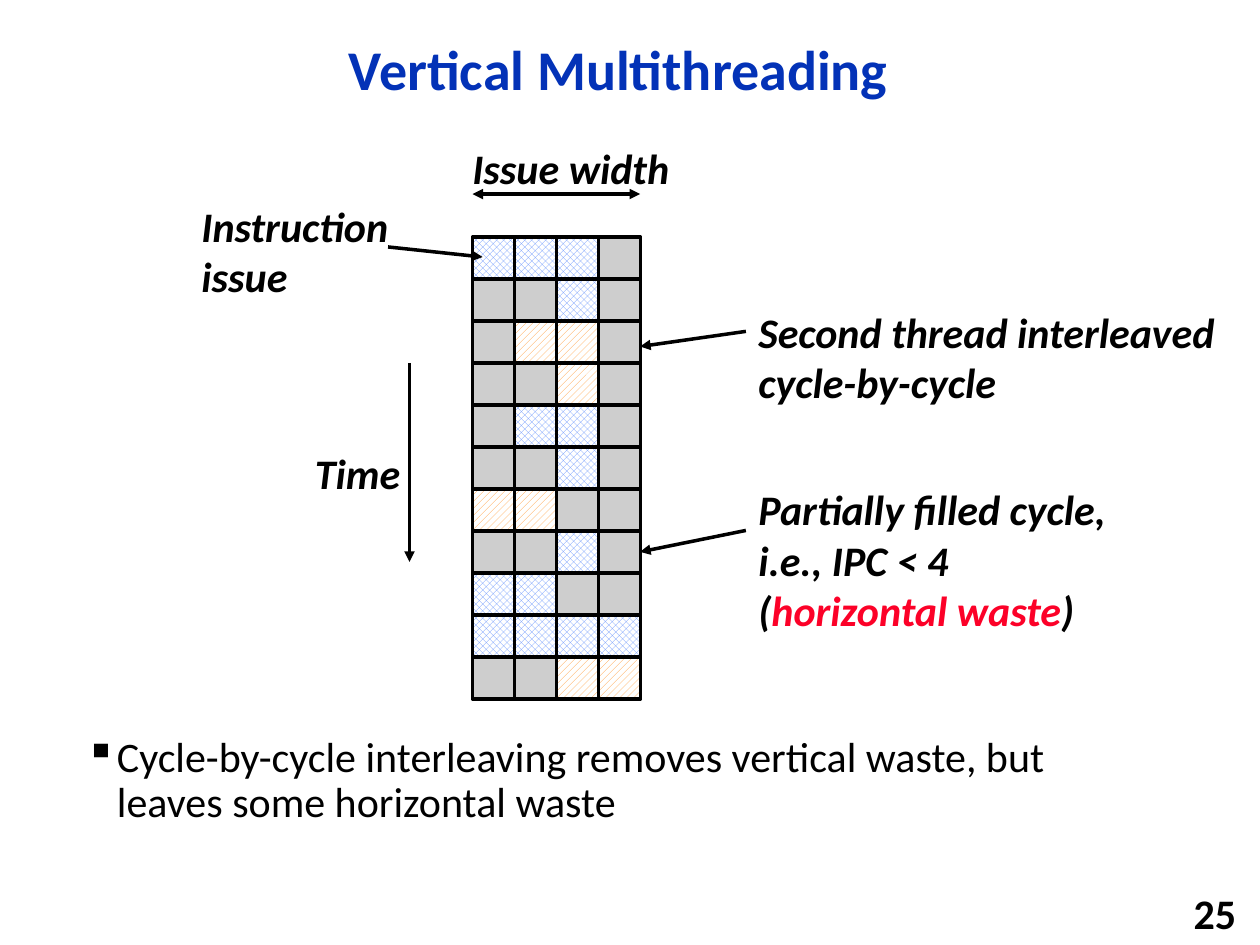
"""Builds the Vertical Multithreading slide with its issue-slot grid."""
from dataclasses import dataclass, field
from typing import Any

from lxml.etree import SubElement
from pptx import Presentation
from pptx.dml.color import RGBColor
from pptx.enum.dml import MSO_PATTERN
from pptx.enum.shapes import MSO_CONNECTOR, MSO_SHAPE
from pptx.enum.text import MSO_ANCHOR, MSO_AUTO_SIZE, PP_ALIGN
from pptx.oxml.ns import qn
from pptx.slide import Slide
from pptx.util import Inches, Pt

COLORS = {
    "title": "0332B7",
    "ink": "000000",
    "paper": "FFFFFF",
    "idle": "CECECE",
    "first": "618FFD",
    "second": "FF9933",
    "waste": "FC0128",
}
PATTERNS = {
    "first": MSO_PATTERN.SOLID_DIAMOND,
    "second": MSO_PATTERN.WIDE_UPWARD_DIAGONAL,
}
SLOT_KINDS = {"A": "first", "B": "second", ".": "idle"}
CYCLES = (
    "AAA.", "..A.", ".BB.", "..B.", ".AA.", "..A.",
    "BB..", "..A.", "AA..", "AAAA", "..BB",
)
GRID_LEFT, GRID_TOP, SLOT_SIZE = 3.75, 1.88, 1 / 3
LINE_WIDTH = Pt(2)
LABEL_FONT = {"name": "Calibri", "size": Pt(24), "bold": True, "italic": True}
NUMBER_FONT = LABEL_FONT | {"italic": False}
TITLE_FONT = NUMBER_FONT | {"size": Pt(32)}
BODY_FONT = NUMBER_FONT | {"bold": False}
LABEL_FRAME = {"word_wrap": True, "auto_size": MSO_AUTO_SIZE.SHAPE_TO_FIT_TEXT}
SHORT_FRAME = LABEL_FRAME | {"word_wrap": False}


@dataclass(frozen=True)
class Span:
    text: str
    color: str = "ink"


@dataclass(frozen=True)
class Label:
    area: tuple[float, float, float, float]
    paragraphs: tuple[tuple[Span, ...], ...]
    font: dict[str, Any] = field(default_factory=lambda: LABEL_FONT)
    frame: dict[str, Any] = field(default_factory=lambda: LABEL_FRAME)
    layout: dict[str, Any] = field(default_factory=dict)
    bullet: str = ""


@dataclass(frozen=True)
class Arrow:
    start: tuple[float, float]
    end: tuple[float, float]
    ends: tuple[str, ...] = ("tailEnd",)


LABELS = (
    Label((0.92, 0.17, 7.98, 0.81), ((Span("Vertical Multithreading", "title"),),), TITLE_FONT,
          {"word_wrap": True, "vertical_anchor": MSO_ANCHOR.MIDDLE},
          {"alignment": PP_ALIGN.CENTER, "line_spacing": 0.9}),
    Label((7.83, 7.08, 2.08, 0.32), ((Span("25"),),), NUMBER_FONT,
          {"word_wrap": False, "vertical_anchor": MSO_ANCHOR.MIDDLE},
          {"alignment": PP_ALIGN.RIGHT}),
    Label((0.58, 5.79, 8.67, 0.92),
          ((Span("Cycle-by-cycle interleaving removes vertical waste, "
                 "but leaves some horizontal waste"),),),
          BODY_FONT, {"word_wrap": True},
          {"line_spacing": 0.9, "space_before": Pt(7.2)}, "▪"),
    Label((3.65, 1.08, 1.86, 0.5), ((Span("Issue width"),),), frame=SHORT_FRAME),
    Label((2.4, 3.5, 0.97, 0.5), ((Span("Time"),),), frame=SHORT_FRAME),
    Label((5.92, 2.38, 3.83, 0.91), ((Span("Second thread interleaved cycle-by-cycle"),),)),
    Label((1.5, 1.54, 2.1, 0.91), ((Span("Instruction issue"),),)),
    Label((5.92, 3.79, 3.5, 1.31),
          ((Span("Partially filled cycle, i.e., IPC < 4"),),
           (Span("("), Span("horizontal waste", "waste"), Span(")")))),
)
ARROWS = (
    Arrow((3.75, 1.54), (5.08, 1.54), ("headEnd", "tailEnd")),
    Arrow((3.25, 2.88), (3.25, 4.46)),
    Arrow((3.08, 1.96), (3.83, 2.04)),
    Arrow((5.92, 4.21), (5.08, 4.38)),
    Arrow((5.92, 2.63), (5.08, 2.75)),
)


def rgb(name: str) -> RGBColor:
    """Return the named colour."""
    return RGBColor.from_string(COLORS[name])


def apply_format(target: Any, values: dict[str, Any]) -> None:
    """Set every format value on the target."""
    for name, value in values.items():
        setattr(target, name, value)


def add_label(page: Slide, label: Label) -> None:
    """Add a text box holding the label's paragraphs."""
    box = page.shapes.add_textbox(*map(Inches, label.area))
    frame = box.text_frame
    apply_format(frame, label.frame)
    for index, spans in enumerate(label.paragraphs):
        para = frame.add_paragraph() if index else frame.paragraphs[0]
        apply_format(para, label.layout)
        if label.bullet:
            properties = para._p.get_or_add_pPr()
            properties.set("marL", str(Inches(0.25)))
            properties.set("indent", str(Inches(-0.25)))
            SubElement(properties, qn("a:buChar"), char=label.bullet)
        for span in spans:
            run = para.add_run()
            run.text = span.text
            apply_format(run.font, label.font)
            run.font.color.rgb = rgb(span.color)


def add_slot(page: Slide, row: int, column: int, kind: str) -> None:
    """Add one issue slot of the grid."""
    left = GRID_LEFT + column * SLOT_SIZE
    top = GRID_TOP + row * SLOT_SIZE
    slot = page.shapes.add_shape(
        MSO_SHAPE.RECTANGLE, *map(Inches, (left, top, SLOT_SIZE, SLOT_SIZE)))
    slot.shadow.inherit = False
    slot.line.color.rgb = rgb("ink")
    slot.line.width = LINE_WIDTH
    if kind in PATTERNS:
        slot.fill.patterned()
        slot.fill.pattern = PATTERNS[kind]
        slot.fill.fore_color.rgb = rgb(kind)
        slot.fill.back_color.rgb = rgb("paper")
    else:
        slot.fill.solid()
        slot.fill.fore_color.rgb = rgb(kind)


def add_arrow(page: Slide, arrow: Arrow) -> None:
    """Add a straight line with its arrowheads."""
    line = page.shapes.add_connector(
        MSO_CONNECTOR.STRAIGHT, *map(Inches, arrow.start + arrow.end))
    line.line.color.rgb = rgb("ink")
    line.line.width = LINE_WIDTH
    for end in arrow.ends:
        SubElement(line.line._get_or_add_ln(), qn(f"a:{end}"), type="triangle")
    SubElement(line._element.spPr, qn("a:effectLst"))


def main() -> None:
    """Build and save the deck."""
    deck = Presentation()
    deck.slide_width, deck.slide_height = Inches(10), Inches(7.5)
    page = deck.slides.add_slide(deck.slide_layouts[6])
    for row, cycle in enumerate(CYCLES):
        for column, mark in enumerate(cycle):
            add_slot(page, row, column, SLOT_KINDS[mark])
    for arrow in ARROWS:
        add_arrow(page, arrow)
    for label in LABELS:
        add_label(page, label)
    deck.save("out.pptx")


if __name__ == "__main__":
    main()
